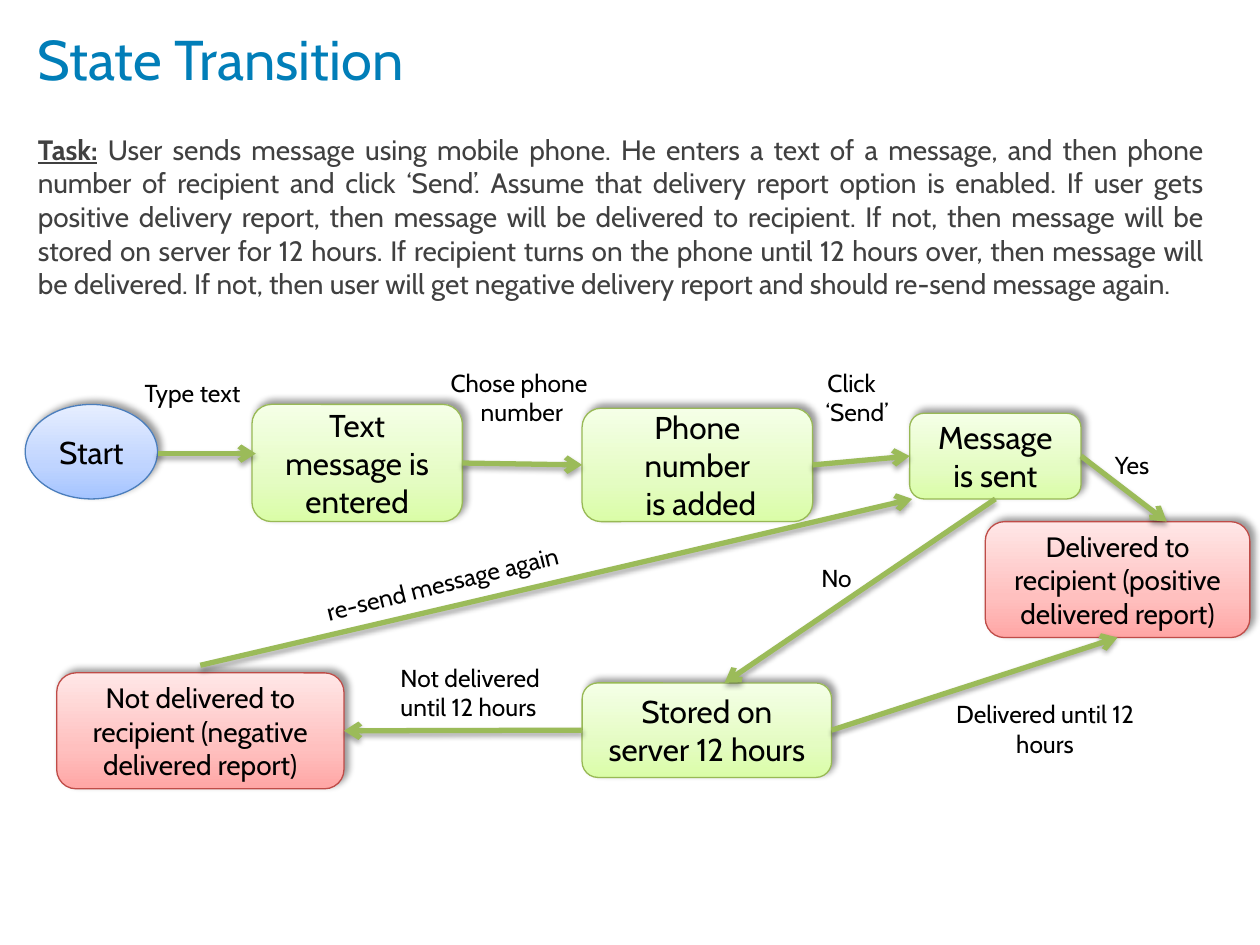
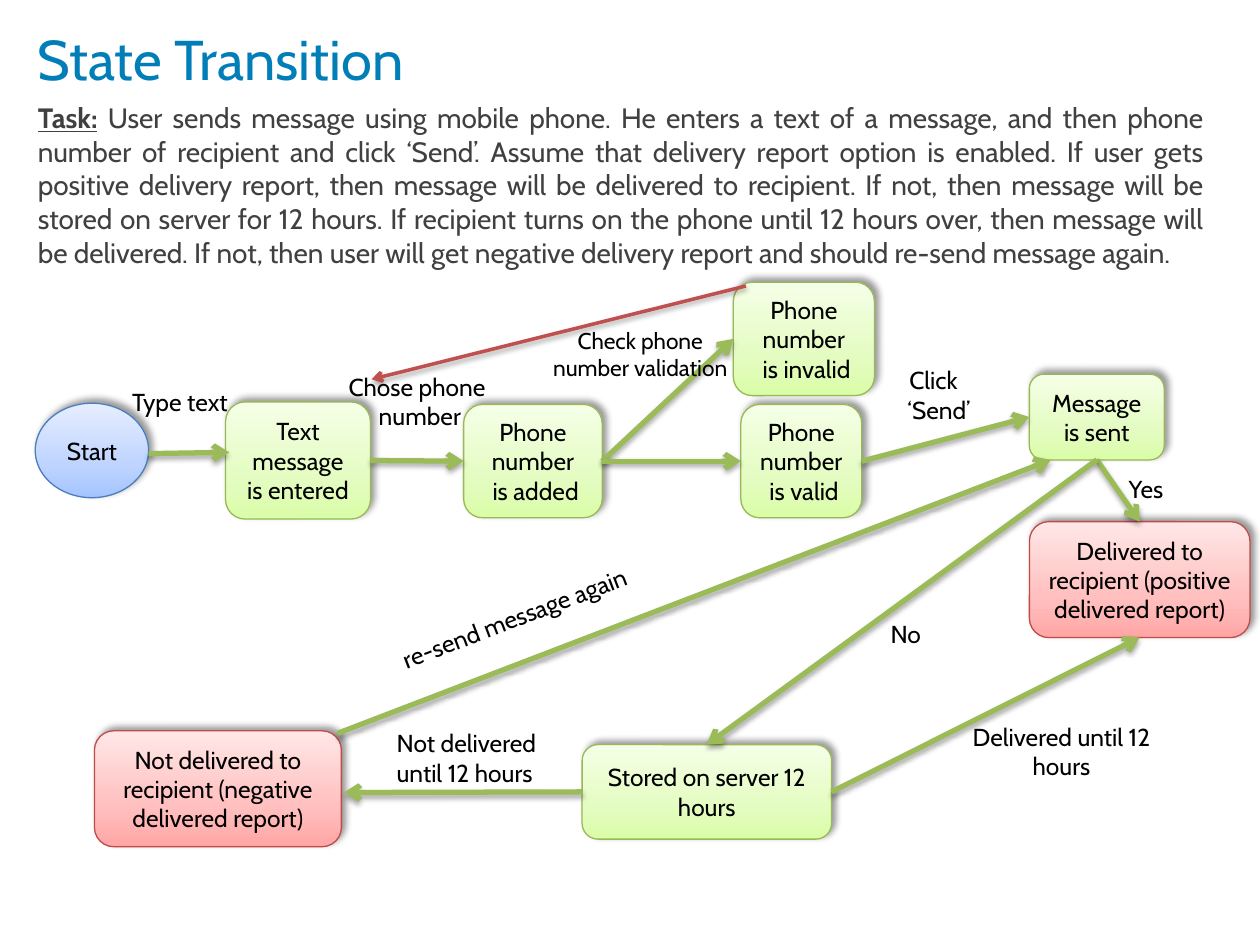
from lxml import etree
from pptx import Presentation
from pptx import util as u
from pptx.dml.color import RGBColor
from pptx.enum import shapes, text
from pptx.oxml import parse_xml
from pptx.oxml.ns import nsdecls, qn

COLORS = {"title": "017EB8", "body": "404040", "ink": "000000",
          "flow": "9BBB59", "retry": "C0504D"}
FONT = "Cabin"
ROUND, OVAL = shapes.MSO_SHAPE.ROUNDED_RECTANGLE, shapes.MSO_SHAPE.OVAL
LEFT, CENTER, JUSTIFY = (text.PP_ALIGN.LEFT, text.PP_ALIGN.CENTER,
                         text.PP_ALIGN.JUSTIFY)

# Node kinds: outline shape, border colour, gradient from bottom to top
KINDS = {
    "start": (OVAL, "4B7EBC", ("A4C4FF", "BFD4FF", "E6EEFF")),
    "state": (ROUND, "98B955", ("DAFDA7", "E4FCC2", "F5FFE7")),
    "end": (ROUND, "BF4C48", ("FFA6A5", "FFC0BF", "FFE7E7")),
}
STOPS = (0, 35, 100)
NODE_SHADOW = {"alpha": 40, "blur": 4, "dist": 3, "angle": 315}
LINE_SHADOW = {"alpha": 35, "blur": 3.1, "dist": 1.8, "angle": 90}

TITLE_BOX = (0.2, -0.04, 9, 1)
FLOW_BOX = (0, 2, 10, 5)
TASK = (" User sends message using mobile phone. He enters a text of a message, "
        "and then phone number of recipient and click ‘Send’. Assume that delivery "
        "report option is enabled. If user gets positive delivery report, then "
        "message will be delivered to recipient. If not, then message will be "
        "stored on server for 12 hours. If recipient turns on the phone until 12 "
        "hours over, then message will be delivered. If not, then user will get "
        "negative delivery report and should re-send message again.")

WORDS = {
    "start": "Start",
    "text": "Text message is entered",
    "added": "Phone number\n is added",
    "valid": "Phone number\n is valid",
    "invalid": "Phone number\n is invalid",
    "sent": "Message is sent",
    "stored": "Stored on server 12 hours",
    "delivered": "Delivered to recipient (positive delivered report)",
    "failed": "Not delivered to recipient (negative delivered report)",
}
NODE_KIND = {"start": "start", "delivered": "end", "failed": "end"}

# Boxes and points of both diagrams count from the corner of FLOW_BOX.
# A link end is a (node, side) pair or a free point.
BASIC = {
    "task_top": 1,
    "sizes": {"delivered": 16, "failed": 16}, "size": 18,
    "nodes": {
        "start": (0.2, 1.21, 1.05, 0.75),
        "text": (2, 1.21, 1.67, 0.93),
        "added": (4.62, 1.24, 1.83, 0.9),
        "sent": (7.22, 1.28, 1.36, 0.68),
        "delivered": (7.82, 2.14, 2.1, 0.92),
        "stored": (4.62, 3.42, 1.98, 0.75),
        "failed": (0.45, 3.34, 2.28, 0.92),
    },
    "links": [
        ((1.25, 1.6), (2.03, 1.6)),
        (("text", "right"), ("added", "left")),
        (("added", "right"), ("sent", "left")),
        (("sent", "right"), (9.26, 2.14)),
        (("sent", "bottom"), (5.75, 3.42)),
        (("stored", "right"), ("delivered", "bottom")),
        (("stored", "left"), ("failed", "right")),
        ((1.59, 3.28), (7.24, 1.96)),
    ],
    "labels": [
        ("Type text", (1.05, 0.95, 1.17, 0.29), {}),
        ("Chose phone\n number", (3.33, 0.87, 1.58, 0.38), {"align": CENTER}),
        ("Click \n ‘Send’", (5.99, 0.87, 1.58, 0.38), {"align": CENTER}),
        ("Yes", (8.75, 1.52, 1.17, 0.29), {}),
        ("No", (6.42, 2.42, 1.17, 0.29), {}),
        ("Delivered until 12 hours", (7.46, 3.5, 1.67, 0.58), {"align": CENTER}),
        ("Not delivered until 12 hours", (3.08, 3.21, 1.67, 0.58), {}),
        ("re-send message again", (2.46, 2.38, 2.78, 0.34), {"turn": 346.2}),
    ],
}
VALIDATED = {
    "task_top": 0.75,
    "sizes": {}, "size": 14,
    "nodes": {
        "start": (0.28, 1.2, 0.9, 0.75),
        "text": (1.79, 1.19, 1.15, 0.93),
        "added": (3.68, 1.21, 1.1, 0.9),
        "valid": (5.88, 1.21, 0.96, 0.9),
        "invalid": (5.82, 0.24, 1.12, 0.9),
        "sent": (8.17, 0.97, 1.07, 0.68),
        "delivered": (8.17, 2.14, 1.75, 0.92),
        "stored": (4.62, 3.91, 1.98, 0.75),
        "failed": (0.75, 3.8, 1.96, 0.92),
    },
    "links": [
        ((1.18, 1.6), (1.82, 1.59)),
        (("text", "right"), ("added", "left")),
        (("added", "right"), ("invalid", "left")),
        (("added", "right"), ("valid", "left")),
        (("valid", "right"), ("sent", "left")),
        (("sent", "bottom"), ("delivered", "top")),
        (("sent", "bottom"), ("stored", "top")),
        (("stored", "right"), ("delivered", "bottom")),
        (("stored", "left"), (2.73, 4.29)),
        ((2.68, 3.82), (8.34, 1.65)),
        ((5.92, 0.27), (2.95, 1.01), "retry", 2),
    ],
    "labels": [
        ("Type text", (0.95, 1.02, 1.17, 0.29), {}),
        ("Chose phone\n number", (2.52, 0.9, 1.58, 0.38), {"align": CENTER}),
        ("Check phone number validation", (4.29, 0.54, 1.58, 0.38),
         {"align": CENTER, "size": 13}),
        ("Click \n ‘Send’", (6.64, 0.85, 1.58, 0.38), {"align": CENTER}),
        ("Yes", (8.86, 1.71, 1.17, 0.29), {}),
        ("No", (6.97, 2.86, 1.17, 0.29), {}),
        ("Delivered until 12 hours", (7.59, 3.68, 1.67, 0.58), {"align": CENTER}),
        ("Not delivered until 12 hours", (3.05, 3.73, 1.67, 0.58), {}),
        ("re-send message again", (3.03, 2.67, 2.46, 0.34), {"turn": 339.2}),
    ],
}


# Shared helpers
def rgb(value):
    return RGBColor.from_string(COLORS.get(value, value))


def inches(values):
    return [u.Inches(v) for v in values]


def set_all(obj, **values):
    for name, value in values.items():
        setattr(obj, name, value)


def add_run(p, words, size, color="ink", **style):
    r = p.add_run()
    r.text = words
    set_all(r.font, name=FONT, size=u.Pt(size), **style)
    r.font.color.rgb = rgb(color)


def write(tf, words, size, align=LEFT):
    tf.word_wrap = True
    for i, line in enumerate(words.split("\n")):
        p = tf.add_paragraph() if i else tf.paragraphs[0]
        p.alignment = align
        add_run(p, line, size)


def place(sp, box):
    set_all(sp, **dict(zip(("left", "top", "width", "height"), inches(box))))


def add_shadow(sp, alpha, blur, dist, angle):
    sp_pr = sp._element.spPr
    for old in sp_pr.findall(qn("a:effectLst")):
        sp_pr.remove(old)
    sp_pr.append(parse_xml(
        f'<a:effectLst {nsdecls("a")}><a:outerShdw blurRad="{u.Pt(blur)}" '
        f'dist="{u.Pt(dist)}" dir="{angle * 60000}" rotWithShape="0">'
        f'<a:srgbClr val="000000"><a:alpha val="{alpha * 1000}"/></a:srgbClr>'
        f'</a:outerShdw></a:effectLst>'))


def set_gradient(sp, hexes):
    sp.fill.gradient()
    sp.fill.gradient_angle = 90
    stops = sp._element.spPr.find(".//" + qn("a:gsLst"))
    for old in list(stops):
        stops.remove(old)
    for pos, value in zip(STOPS, hexes):
        gs = etree.SubElement(stops, qn("a:gs"), pos=str(pos * 1000))
        etree.SubElement(gs, qn("a:srgbClr"), val=value)


# Title and task text
def add_title(s, box):
    sp = s.shapes.title
    place(sp, box)
    set_all(sp.text_frame, vertical_anchor=text.MSO_ANCHOR.MIDDLE,
            auto_size=text.MSO_AUTO_SIZE.NONE)
    p = sp.text_frame.paragraphs[0]
    p.alignment = LEFT
    add_run(p, "State Transition", 32, "title")


def add_task(s, box):
    sp = s.placeholders[1]
    place(sp, box)
    sp.text_frame.auto_size = text.MSO_AUTO_SIZE.NONE
    p = sp.text_frame.paragraphs[0]
    p.alignment = JUSTIFY
    p_pr = p._p.get_or_add_pPr()
    p_pr.set("marL", "0")
    p_pr.set("indent", "0")
    etree.SubElement(p_pr, qn("a:buNone"))
    add_run(p, "Task:", 16, "body", bold=True, underline=True)
    add_run(p, TASK, 16, "body")


# Diagram parts
def add_node(s, box, kind, words, size):
    shape, border, hexes = KINDS[kind]
    sp = s.shapes.add_shape(shape, *inches(box))
    set_gradient(sp, hexes)
    sp.line.color.rgb = rgb(border)
    sp.line.width = u.Pt(0.75)
    add_shadow(sp, **NODE_SHADOW)
    write(sp.text_frame, words, size, CENTER)


def add_link(s, start, end, color="flow", width=3):
    cn = s.shapes.add_connector(shapes.MSO_CONNECTOR.STRAIGHT,
                                *inches(start + end))
    cn.line.color.rgb = rgb(color)
    cn.line.width = u.Pt(width)
    etree.SubElement(cn.line._get_or_add_ln(), qn("a:tailEnd"), type="arrow")
    add_shadow(cn, **LINE_SHADOW)


def add_label(s, box, words, align=LEFT, size=14, turn=0):
    sp = s.shapes.add_textbox(*inches(box))
    sp.rotation = turn
    write(sp.text_frame, words, size, align)


def link_point(end, nodes):
    if end[0] not in nodes:
        return end
    name, side = end
    x, y, w, h = nodes[name]
    fx, fy = {"left": (0, 0.5), "right": (1, 0.5),
              "top": (0.5, 0), "bottom": (0.5, 1)}[side]
    return x + w * fx, y + h * fy


def add_flow(s, box, flow):
    def shift(x, y, *size):
        return (box[0] + x, box[1] + y, *size)

    nodes = flow["nodes"]
    for name, node_box in nodes.items():
        add_node(s, shift(*node_box), NODE_KIND.get(name, "state"), WORDS[name],
                 flow["sizes"].get(name, flow["size"]))
    for start, end, *look in flow["links"]:
        add_link(s, shift(*link_point(start, nodes)),
                 shift(*link_point(end, nodes)), *look)
    for words, label_box, look in flow["labels"]:
        add_label(s, shift(*label_box), words, **look)


def add_state_slide(prs, flow):
    s = prs.slides.add_slide(prs.slide_layouts[1])
    add_title(s, TITLE_BOX)
    add_task(s, (0.2, flow["task_top"], 9.46, 5.33))
    add_flow(s, FLOW_BOX, flow)


def main():
    prs = Presentation()
    set_all(prs, slide_width=u.Inches(10), slide_height=u.Inches(7.5))
    for flow in (BASIC, VALIDATED):
        add_state_slide(prs, flow)
    prs.save("out.pptx")


if __name__ == "__main__":
    main()
